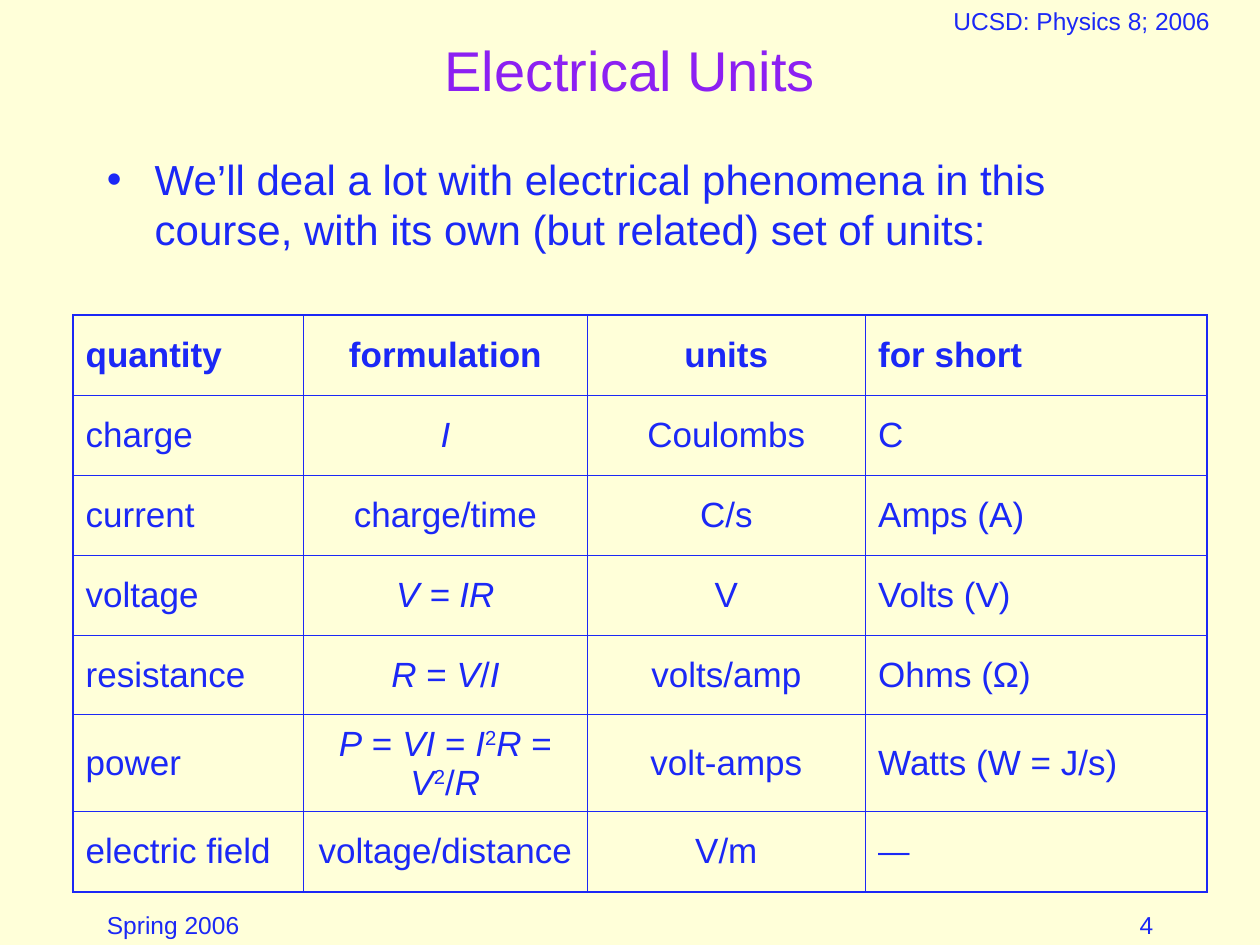
from dataclasses import dataclass

from lxml import etree
from pptx import Presentation
from pptx import util as u
from pptx.dml import color
from pptx.enum import text
from pptx.oxml import ns

INK = "1B28F6"
PURPLE = "8C20F2"
CREAM = "FFFFD9"
LEFT, CENTER, RIGHT = text.PP_ALIGN.LEFT, text.PP_ALIGN.CENTER, text.PP_ALIGN.RIGHT
TOP, MIDDLE = text.MSO_ANCHOR.TOP, text.MSO_ANCHOR.MIDDLE


@dataclass
class Run:
    words: str
    italic: bool = False
    raised: bool = False


@dataclass
class Label:
    words: str
    left: float
    top: float
    width: float
    height: float
    size: float = 14
    align: text.PP_ALIGN = LEFT
    anchor: text.MSO_ANCHOR = TOP
    ink: str = INK
    bulleted: bool = False


@dataclass
class Column:
    width: float
    align: text.PP_ALIGN


LABELS = [
    Label("Spring 2006", 0.75, 7.17, 2.08, 0.5),
    Label("UCSD: Physics 8; 2006", 7, 0, 3.17, 0.5, align=CENTER),
    Label("4", 7.17, 7.17, 2.08, 0.5, align=RIGHT),
    Label("Electrical Units", 0.75, -0.08, 8.5, 1.25, 32, CENTER, MIDDLE, PURPLE),
    Label("We’ll deal a lot with electrical phenomena in this course, "
          "with its own (but related) set of units:",
          0.75, 1.17, 8.5, 1, 24, bulleted=True),
]

COLUMNS = [Column(1.83, LEFT), Column(2.25, CENTER), Column(2.21, CENTER), Column(2.71, LEFT)]
TABLE_LEFT, TABLE_TOP, TABLE_HEIGHT = 0.58, 2.5, 4.58
POWER_ROW, POWER_HEIGHT = 5, 0.77

EQUALS = Run(" = ")
SQUARED = Run("2", raised=True)
RESISTANCE = [Run("R", True), EQUALS, Run("V", True), Run("/"), Run("I", True)]
POWER = [
    Run("P", True), EQUALS, Run("VI", True), EQUALS, Run("I", True), SQUARED,
    Run("R", True), EQUALS, Run("V", True), SQUARED, Run("/"), Run("R", True),
]
UNITS = [
    ["quantity", "formulation", "units", "for short"],
    ["charge", [Run("I", True)], "Coulombs", "C"],
    ["current", "charge/time", "C/s", "Amps (A)"],
    ["voltage", [Run("V = IR", True)], "V", "Volts (V)"],
    ["resistance", RESISTANCE, "volts/amp", "Ohms (Ω)"],
    ["power", POWER, "volt-amps", "Watts (W = J/s)"],
    ["electric field", "voltage/distance", "V/m", "—"],
]


def rgb(value: str) -> color.RGBColor:
    return color.RGBColor.from_string(value)


def add_runs(paragraph, runs: list[Run], ink: str, **formats) -> None:
    for item in runs:
        run = paragraph.add_run()
        run.text = item.words
        for name, value in {"name": "Arial", "italic": item.italic, **formats}.items():
            setattr(run.font, name, value)
        run.font.color.rgb = rgb(ink)
        if item.raised:
            run.font._element.set("baseline", "30000")


def add_bullet(paragraph) -> None:
    paragraph.space_before = u.Pt(6)
    properties = paragraph._p.get_or_add_pPr()
    properties.set("marL", str(u.Inches(0.38)))
    properties.set("indent", str(u.Inches(-0.38)))
    bullet_color = etree.SubElement(properties, ns.qn("a:buClr"))
    etree.SubElement(bullet_color, ns.qn("a:srgbClr"), val=INK)
    etree.SubElement(properties, ns.qn("a:buFont"), typeface="Arial")
    etree.SubElement(properties, ns.qn("a:buChar"), char="•")


def add_label(slide, label: Label) -> None:
    box = slide.shapes.add_textbox(
        u.Inches(label.left), u.Inches(label.top), u.Inches(label.width), u.Inches(label.height))
    frame = box.text_frame
    frame.word_wrap = True
    frame.vertical_anchor = label.anchor
    paragraph = frame.paragraphs[0]
    paragraph.alignment = label.align
    if label.bulleted:
        add_bullet(paragraph)
    add_runs(paragraph, [Run(label.words)], label.ink, size=u.Pt(label.size))


def add_borders(cell, widths: dict[str, float]) -> None:
    properties = cell._tc.get_or_add_tcPr()
    for side, width in widths.items():
        line = etree.SubElement(properties, ns.qn(f"a:ln{side}"), w=str(u.Pt(width)))
        fill = etree.SubElement(line, ns.qn("a:solidFill"))
        etree.SubElement(fill, ns.qn("a:srgbClr"), val=INK)


def fill_cell(cell, content: str | list[Run], align: text.PP_ALIGN, bold: bool) -> None:
    cell.fill.background()
    cell.vertical_anchor = MIDDLE
    for name, inset in {"left": 0.1, "right": 0.1, "top": 0.05, "bottom": 0.05}.items():
        setattr(cell, f"margin_{name}", u.Inches(inset))
    size = 18 if content == "—" else 20
    paragraph = cell.text_frame.paragraphs[0]
    paragraph.alignment = align
    paragraph.space_before = u.Pt(size / 4)
    runs = [Run(content)] if isinstance(content, str) else content
    add_runs(paragraph, runs, INK, size=u.Pt(size), bold=bold)


def add_units_table(slide) -> None:
    last_row, last_column = len(UNITS) - 1, len(COLUMNS) - 1
    table = slide.shapes.add_table(
        len(UNITS), len(COLUMNS), u.Inches(TABLE_LEFT), u.Inches(TABLE_TOP),
        u.Inches(sum(column.width for column in COLUMNS)), u.Inches(TABLE_HEIGHT)).table
    table.first_row = table.horz_banding = False
    plain_height = (TABLE_HEIGHT - POWER_HEIGHT) / last_row
    for index, column in enumerate(COLUMNS):
        table.columns[index].width = u.Inches(column.width)
    for row, contents in enumerate(UNITS):
        table.rows[row].height = u.Inches(POWER_HEIGHT if row == POWER_ROW else plain_height)
        for index, content in enumerate(contents):
            outer = {"L": index == 0, "R": index == last_column,
                     "T": row == 0, "B": row == last_row}
            cell = table.cell(row, index)
            add_borders(cell, {side: 1.08 if edge else 0.45 for side, edge in outer.items()})
            fill_cell(cell, content, COLUMNS[index].align, bold=row == 0)


def main() -> None:
    presentation = Presentation()
    presentation.slide_width = u.Inches(10)
    presentation.slide_height = u.Inches(7.5)
    slide = presentation.slides.add_slide(presentation.slide_layouts[6])
    slide.background.fill.solid()
    slide.background.fill.fore_color.rgb = rgb(CREAM)
    for label in LABELS:
        add_label(slide, label)
    add_units_table(slide)
    presentation.save("out.pptx")


if __name__ == "__main__":
    main()
